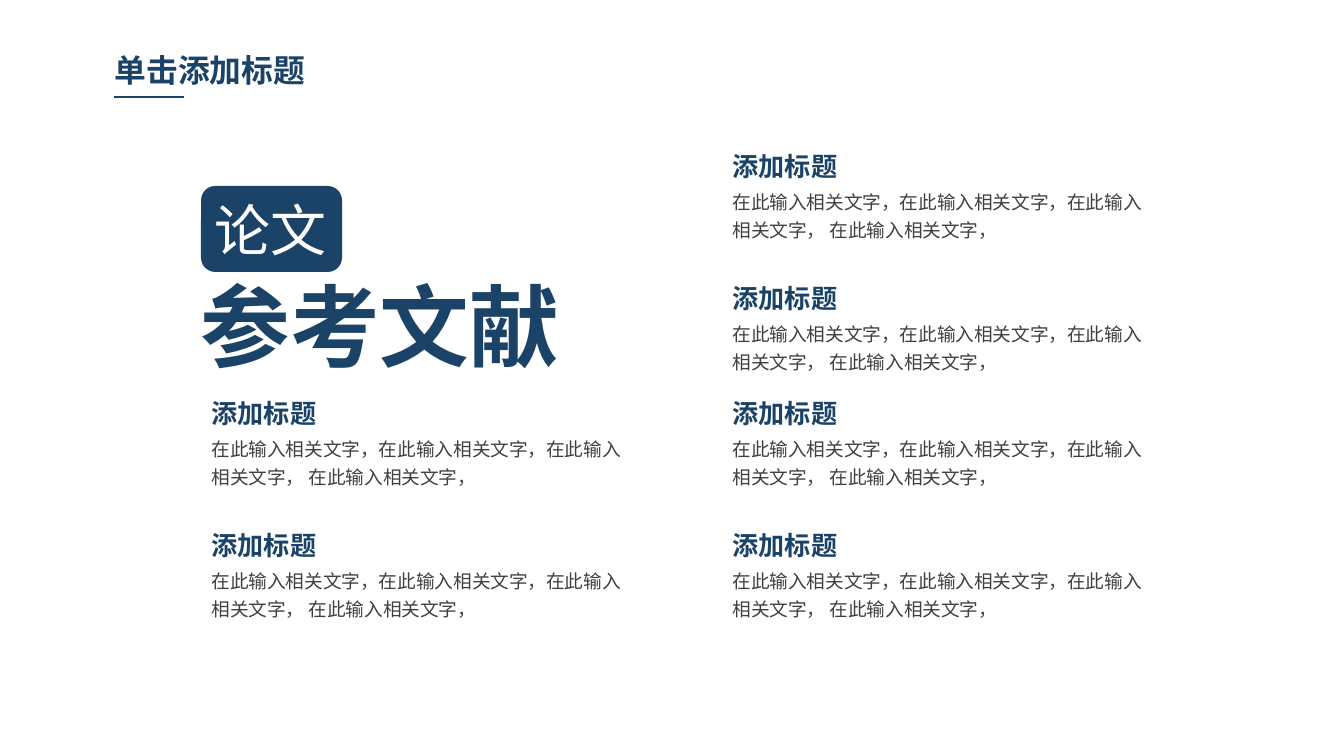
from pptx import Presentation
from pptx.dml.color import RGBColor
from pptx.enum.shapes import MSO_CONNECTOR, MSO_SHAPE
from pptx.enum.text import MSO_ANCHOR, MSO_AUTO_SIZE, PP_ALIGN
from pptx.oxml.ns import qn
from pptx.util import Emu, Pt
from lxml.etree import SubElement

FONT = "Noto Sans CJK SC"
NAVY, GRAY, WHITE = "1B4367", "404040", "FFFFFF"
TITLE = "单击添加标题"
BADGE = "论文"
TOPIC = "参考文献"
HEAD = "添加标题"
BODY = "在此输入相关文字，在此输入相关文字，在此输入相关文字， 在此输入相关文字，"
COLS = [(202, (392, 524)), (723, (145, 277, 392, 524))]
ITEMS = [(x, y, HEAD, BODY) for x, rows in COLS for y in rows]


def px(n):
    return Emu(round(n * 9144000 / 1344))


def color(code):
    return RGBColor.from_string(code)


def place(shape, x, y, w, h):
    shape.left, shape.top, shape.width, shape.height = map(px, (x, y, w, h))


def write(shape, text, size, code, bold=False, wrap=True, space=None,
          anchor=MSO_ANCHOR.TOP):
    frame = shape.text_frame
    frame.word_wrap = wrap
    frame.auto_size = MSO_AUTO_SIZE.SHAPE_TO_FIT_TEXT
    frame.vertical_anchor = anchor
    frame.margin_left = frame.margin_right = px(9.5)
    frame.margin_top = frame.margin_bottom = px(5)
    para = frame.paragraphs[0]
    para.alignment = PP_ALIGN.LEFT
    if space:
        para.line_spacing = Pt(space)
    run = para.add_run()
    run.text = text
    font = run.font
    font.name, font.size, font.bold = FONT, Pt(size), bold
    font.color.rgb = color(code)
    SubElement(font._element, qn("a:ea")).set("typeface", FONT)


def label(x, y, w, h, *args, **style):
    box = slide.shapes.add_textbox(*map(px, (x, y, w, h)))
    write(box, *args, **style)


deck = Presentation()
deck.slide_width, deck.slide_height = px(1344), px(756)
slide = deck.slides.add_slide(deck.slide_layouts[5])

title = slide.shapes.title
place(title, 105, 46, 332, 48)
write(title, TITLE, 17, NAVY, bold=True)

badge = slide.shapes.add_shape(
    MSO_SHAPE.ROUNDED_RECTANGLE, *map(px, (201, 186, 141, 86)))
badge.shadow.inherit = False
badge.fill.solid()
badge.fill.fore_color.rgb = color(NAVY)
badge.line.fill.background()
write(badge, BADGE, 30, WHITE, wrap=False, anchor=MSO_ANCHOR.MIDDLE)

label(191, 266, 382, 118, TOPIC, 48, NAVY, bold=True, wrap=False)

rule = slide.shapes.add_connector(
    MSO_CONNECTOR.STRAIGHT, *map(px, (114, 97, 184, 97)))
rule.line.color.rgb = color(NAVY)
rule.line.width = Pt(0.75)
SubElement(rule._element.spPr, qn("a:effectLst"))

for x, y, head, body in ITEMS:
    label(x, y, 188, 42, head, 14, NAVY, bold=True)
    label(x, y + 35, 442, 67, body, 10, GRAY, space=15)

deck.save("out.pptx")
